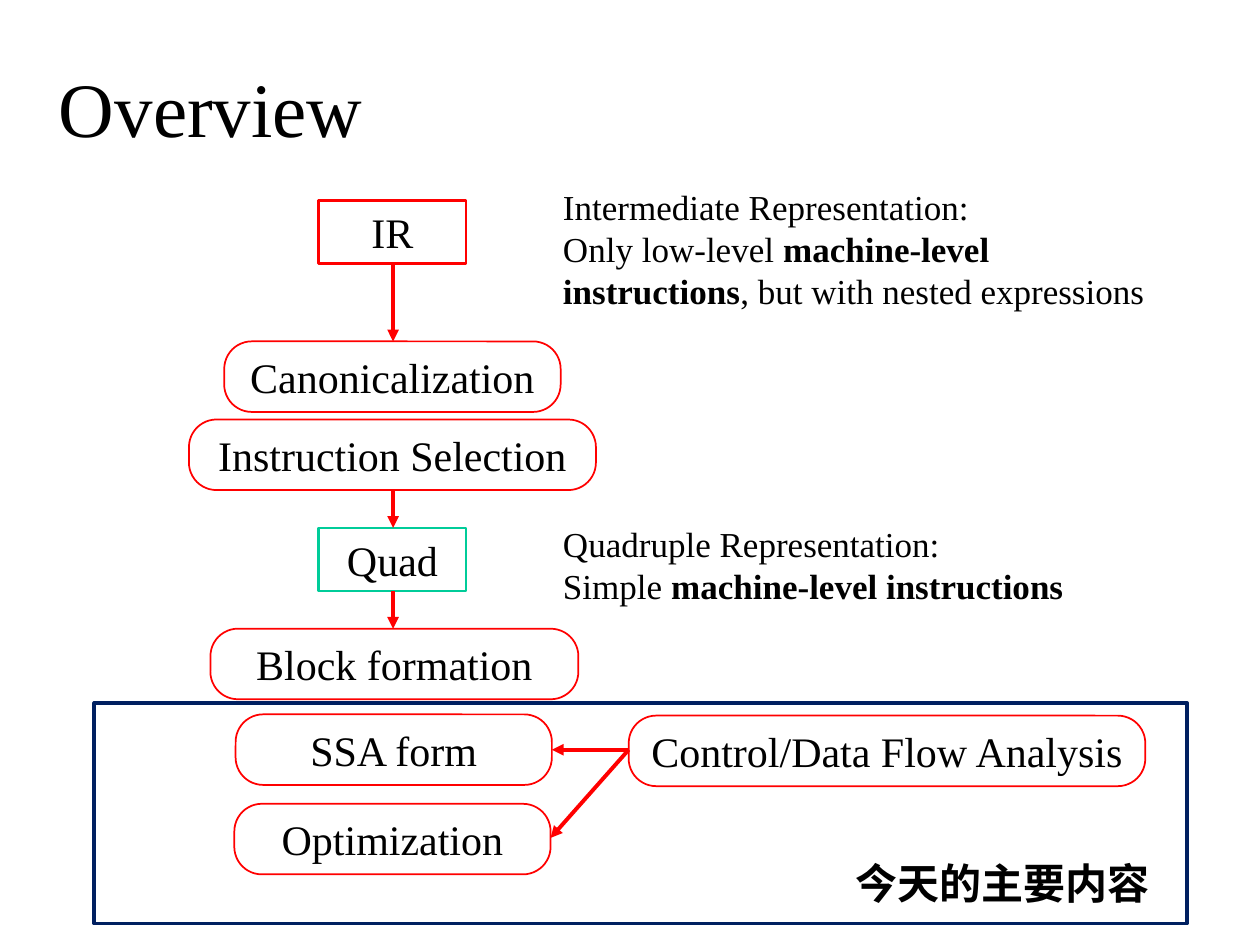
"""Build the compiler pipeline overview slide."""
from pptx import Presentation
from pptx.dml.color import RGBColor as RGB
from pptx.enum.shapes import MSO_CONNECTOR as Link, MSO_SHAPE as Shape
from pptx.enum.text import MSO_ANCHOR as Anchor, PP_ALIGN as Align
from pptx.oxml.ns import qn
from pptx.util import Inches, Pt
from lxml.etree import SubElement

HUES = {"ink": "000000", "red": "FF0000", "green": "00CC99", "navy": "002060"}


class Board:
    """Hold the style and the current slide."""

    face = "Times New Roman"

    def __init__(self, deck):
        self.slide = deck.slides.add_slide(deck.slide_layouts[5])
        self.shapes = self.slide.shapes

    def hue(self, name):
        return RGB.from_string(HUES[name])

    def label(self, frame, lines, size, align=Align.LEFT, bold=False):
        for num, line in enumerate(lines):
            para = frame.add_paragraph() if num else frame.paragraphs[0]
            for text, strong in line:
                run = para.add_run()
                run.text = text
                if strong:
                    run.font.bold = True
            para.alignment = align
            font = para.font
            font.name, font.size, font.bold = self.face, Pt(size), bold
            font.color.rgb = self.hue("ink")

    def title(self, text, left, top, width, height):
        head = self.shapes.title
        head.left, head.top = Inches(left), Inches(top)
        head.width, head.height = Inches(width), Inches(height)
        head.text_frame.vertical_anchor = Anchor.MIDDLE
        self.label(head.text_frame, [[(text, False)]], 44, Align.CENTER)

    def frame(self, kind, left, top, width, height, hue, line):
        box = self.shapes.add_shape(
            kind, Inches(left), Inches(top), Inches(width), Inches(height))
        box.shadow.inherit = False
        box.fill.background()
        box.line.color.rgb = self.hue(hue)
        box.line.width = Pt(line)
        return box

    def form(self, text, top, hue):
        box = self.frame(Shape.RECTANGLE, 2.53, top, 1.17, 0.5, hue, 1.5)
        box.text_frame.vertical_anchor = Anchor.TOP
        self.label(box.text_frame, [[(text, False)]], 24, Align.CENTER)

    def step(self, text, left, top, width):
        box = self.frame(
            Shape.ROUNDED_RECTANGLE, left, top, width, 0.56, "red", 1)
        box.adjustments[0] = 0.39
        box.text_frame.word_wrap = False
        box.text_frame.vertical_anchor = Anchor.MIDDLE
        self.label(box.text_frame, [[(text, False)]], 24, Align.CENTER)

    def note(self, lines, left, top, width, height, size=20, bold=False,
             wrap=True):
        box = self.shapes.add_textbox(
            Inches(left), Inches(top), Inches(width), Inches(height))
        box.text_frame.word_wrap = wrap
        self.label(box.text_frame, lines, size, bold=bold)

    def arrow(self, *ends):
        link = self.shapes.add_connector(
            Link.STRAIGHT, *[Inches(end) for end in ends])
        link.line.color.rgb = self.hue("red")
        link.line.width = Pt(2.25)
        props = link.element.spPr
        SubElement(props.find(qn("a:ln")), qn("a:tailEnd"), type="triangle")
        SubElement(props, qn("a:effectLst"))


def main():
    deck = Presentation()
    deck.slide_width, deck.slide_height = Inches(10), Inches(7.5)
    board = Board(deck)
    board.title("Overview ", 0.1, 0.39, 3.3, 0.92)

    board.form("IR", 1.59, "red")
    board.form("Quad", 4.19, "green")
    for step in [
        ("Canonicalization", 1.78, 2.71, 2.67),
        ("Instruction Selection", 1.5, 3.33, 3.23),
        ("Block formation", 1.67, 4.99, 2.92),
        ("SSA form", 1.87, 5.67, 2.51),
        ("Optimization", 1.86, 6.38, 2.51),
        ("Control/Data Flow Analysis", 4.99, 5.68, 4.1),
    ]:
        board.step(*step)

    for start, end in [(2.09, 2.71), (3.89, 4.19), (4.69, 4.99)]:
        board.arrow(3.12, start, 3.12, end)
    for end in [(4.38, 5.95), (4.37, 6.65)]:
        board.arrow(4.99, 5.95, *end)

    board.note([
        [("Intermediate Representation:", False)],
        [("Only low-level ", False), ("machine-level instructions", True),
         (", but with nested expressions", False)],
    ], 4.37, 1.42, 4.83, 1.11)
    board.note([
        [("Quadruple Representation:", False)],
        [("Simple ", False), ("machine-level instructions", True)],
    ], 4.37, 4.1, 4.83, 0.77)

    board.frame(Shape.RECTANGLE, 0.75, 5.58, 8.67, 1.75, "navy", 2.25)
    board.note([[("今天的主要内容", False)]], 6.69, 6.76, 2.61, 0.5,
               size=24, bold=True, wrap=False)
    deck.save("out.pptx")


if __name__ == "__main__":
    main()
